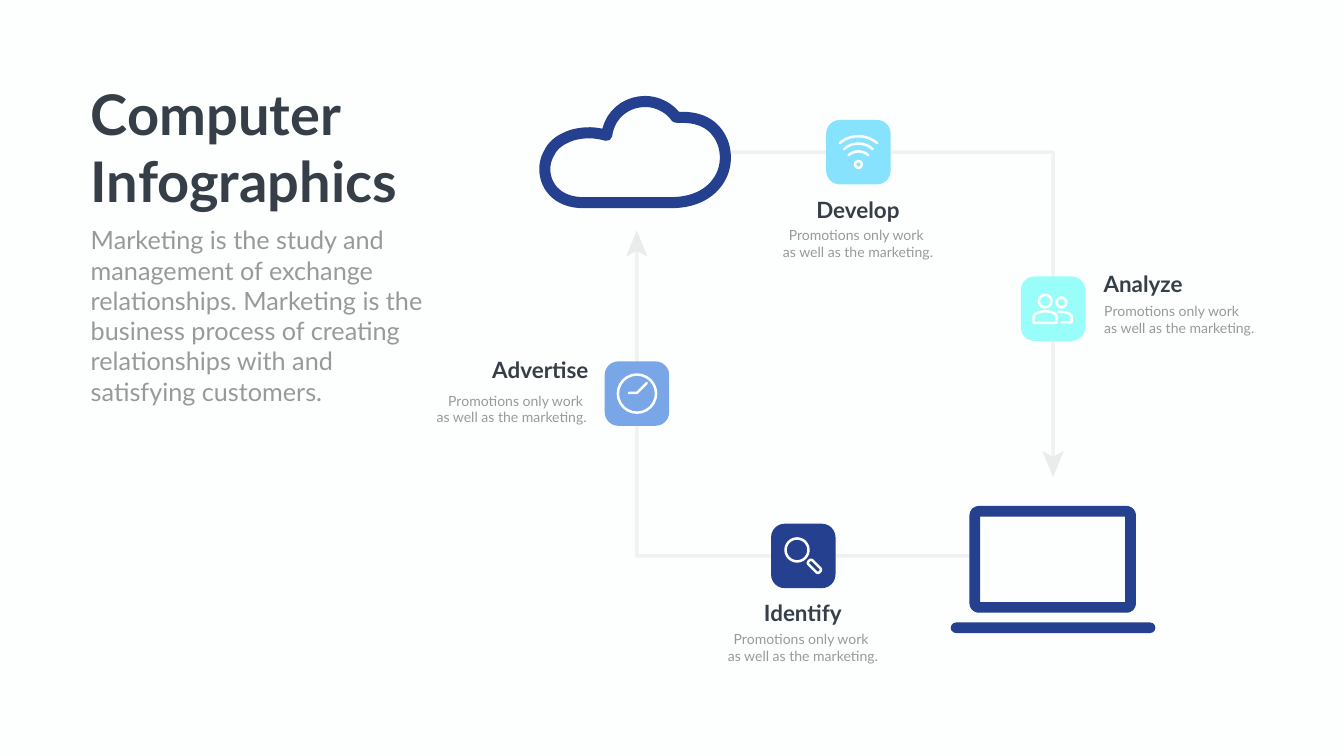
"""Builds the Computer Infographics slide: a cloud-to-laptop loop with four stages."""
import collections
import dataclasses

import lxml.etree
import pptx
import pptx.dml.color
import pptx.enum.shapes
import pptx.enum.text
import pptx.oxml.ns
import pptx.util

Pt = pptx.util.Pt
qn = pptx.oxml.ns.qn
Align = pptx.enum.text.PP_ALIGN
Shape = pptx.enum.shapes.MSO_SHAPE
Stage = collections.namedtuple("Stage", "name centre fill align label_offset note_offset draw_icon")


@dataclasses.dataclass(frozen=True)
class Theme:
    font: str = "Lato"
    paper: str = "FDFFFE"
    ink: str = "363E48"
    muted: str = "999999"
    navy: str = "25408E"
    blue: str = "78A6E7"
    sky: str = "87E3FD"
    aqua: str = "99FEFA"
    route: str = "808080"
    arrow: str = "EBEBEB"
    title_size: int = 80
    lead_size: int = 36
    label_size: int = 32
    note_size: int = 20


THEME = Theme()
NOTE = ("Promotions only work ", "as well as the marketing.")
LEAD = ("Marketing is the study and management of exchange relationships. "
        "Marketing is the business process of creating relationships with and satisfying customers.")
CLOUD = [
    (959, 289.5), (833, 289.5), (811, 289.5, 793.5, 281, 784, 264.6),
    (776, 250, 776, 232, 784.8, 217.8), (789, 209, 797, 202, 806.4, 197.6),
    (816, 192.5, 828, 189.7, 843, 189.7), (852, 190, 859, 191.5, 866.5, 193.5),
    (870, 165, 893, 145, 921.6, 145), (938, 145, 956, 153.5, 965.5, 167.5), (976.6, 167.7),
    (995, 168, 1011, 174, 1021.3, 185.7), (1031, 196.5, 1036, 210, 1036, 225.4),
    (1036, 242, 1029.5, 257, 1017, 269.2), (1003, 282.5, 982.5, 289.5, 959, 289.5)]
FRONT_PERSON = [
    (-27.7, 20.3), (-27.7, 12.6), (-27.7, 10.5, -26.5, 8.5, -25, 7.3),
    (-20.5, 4.8, -16, 3.6, -11.2, 3.6), (-6, 3.6, -1, 4.8, 3.2, 7.5),
    (4.4, 8.8, 5, 10.5, 5, 12.6), (5, 20.3)]
BACK_PERSON = [
    (12.2, 19.4), (26.6, 19.4), (26.6, 12.6), (26.6, 10.5, 25.8, 9, 24, 7.8),
    (20.5, 5.3, 16, 4.5, 11.5, 4.5), (10, 4.5, 8.5, 4.7, 7.5, 4.9)]


def rgb(value):
    return pptx.dml.color.RGBColor.from_string(value)


def paint(shape, fill=None, line=None, weight=3.6):
    shape.shadow.inherit = False
    for part, color in ((shape.fill, fill), (shape.line.fill, line)):
        if color:
            part.solid()
            part.fore_color.rgb = rgb(color)
        else:
            part.background()
    if line:
        shape.line.width = Pt(weight)
    return shape


def trace(segments):
    points = []
    for segment in segments:
        if len(segment) == 2:
            points.append(segment)
            continue
        start, ends = points[-1], zip(segment[::2], segment[1::2])
        controls = list(zip(start, *ends))
        for t in (step / 10 for step in range(1, 11)):
            weights = ((1 - t) ** 3, 3 * t * (1 - t) ** 2, 3 * t * t * (1 - t), t ** 3)
            points.append(tuple(sum(w * v for w, v in zip(weights, axis)) for axis in controls))
    return points


def outline(slide, segments, origin=(0, 0), close=False, **style):
    points = [(Pt(x + origin[0]), Pt(y + origin[1])) for x, y in trace(segments)]
    builder = slide.shapes.build_freeform(*points[0])
    builder.add_line_segments(points[1:], close=close)
    return paint(builder.convert_to_shape(), **style)


def stroke(slide, origin, segments, close=False):
    shape = outline(slide, segments, origin, close, line=THEME.paper)
    shape.element.spPr.find(qn("a:ln")).set("cap", "rnd")


def block(slide, centre, width, height, radius, **style):
    left, top = centre[0] - width / 2, centre[1] - height / 2
    shape = slide.shapes.add_shape(Shape.ROUNDED_RECTANGLE, Pt(left), Pt(top), Pt(width), Pt(height))
    shape.adjustments[0] = radius
    return paint(shape, **style)


def ring(slide, origin, x, y, diameter):
    left, top = origin[0] + x - diameter / 2, origin[1] + y - diameter / 2
    paint(slide.shapes.add_shape(Shape.OVAL, Pt(left), Pt(top), Pt(diameter), Pt(diameter)), line=THEME.paper)


def wifi_icon(slide, origin):
    for reach, base, crest in ((26.6, -13, -26), (20.5, -4.3, -14.9), (14, 4.3, -2.9)):
        bend = reach * 0.45
        stroke(slide, origin, [(-reach, base), (-bend, crest, bend, crest, reach, base)])
    ring(slide, origin, 0, 17.6, 9.7)


def people_icon(slide, origin):
    ring(slide, origin, -11.2, -10.8, 18.2)
    stroke(slide, origin, FRONT_PERSON, close=True)
    ring(slide, origin, 11.9, -8.9, 14)
    stroke(slide, origin, BACK_PERSON)


def clock_icon(slide, origin):
    ring(slide, origin, 0, 0, 54.5)
    stroke(slide, origin, [(-11.5, -1), (0, -1), (14, -15)])


def search_icon(slide, origin):
    ring(slide, origin, -9, -8.6, 32.8)
    handle = block(slide, (origin[0] + 15.9, origin[1] + 14.9), 22, 8, 0.35, line=THEME.paper)
    handle.rotation = 45


def write(holder, lines, size, color, bold=False, align=Align.LEFT):
    frame = holder.text_frame
    frame.word_wrap = True
    frame.auto_size = pptx.enum.text.MSO_AUTO_SIZE.NONE
    frame.vertical_anchor = pptx.enum.text.MSO_ANCHOR.TOP
    for index, line in enumerate(lines):
        paragraph = frame.add_paragraph() if index else frame.paragraphs[0]
        paragraph.alignment, paragraph.space_before = align, Pt(0)
        run = paragraph.add_run()
        run.text = line
        run.font.name, run.font.size, run.font.bold = THEME.font, Pt(size), bold
        run.font.color.rgb = rgb(color)


def add_heading(slide):
    title, lead = slide.shapes.title, slide.placeholders[1]
    for holder, top, width, height in ((title, 110.2, 507.6, 200.9), (lead, 317.5, 494, 269.3)):
        holder.left, holder.top, holder.width, holder.height = Pt(122.4), Pt(top), Pt(width), Pt(height)
    properties = lead.text_frame.paragraphs[0]._p.get_or_add_pPr()
    properties.set("marL", "0")
    properties.set("indent", "0")
    lxml.etree.SubElement(properties, qn("a:buNone"))
    write(title, ["Computer Infographics"], THEME.title_size, THEME.ink, bold=True)
    write(lead, [LEAD], THEME.lead_size, THEME.muted)


def add_route(slide, corners, tip, direction):
    route = outline(slide, corners, line=THEME.route, weight=5)
    color = route.element.spPr.find(qn("a:ln")).find(".//" + qn("a:srgbClr"))
    lxml.etree.SubElement(color, qn("a:alpha"), val="10000")
    back, notch = -37.6 * direction, -29 * direction
    outline(slide, [(0, 0), (-15.3, back), (0, notch), (15.3, back)], tip, True, fill=THEME.arrow)


def add_stage(slide, stage):
    x, y = stage.centre
    block(slide, stage.centre, 92, 92, 0.21, fill=stage.fill)
    stage.draw_icon(slide, stage.centre)
    for (dx, dy), width, height, lines, size, color, bold in (
            (stage.label_offset, 188, 46, [stage.name], THEME.label_size, THEME.ink, True),
            (stage.note_offset, 289, 55.4, NOTE, THEME.note_size, THEME.muted, False)):
        box = slide.shapes.add_textbox(Pt(x + dx), Pt(y + dy), Pt(width), Pt(height))
        write(box, lines, size, color, bold, stage.align)


def main():
    deck = pptx.Presentation()
    deck.slide_width, deck.slide_height = Pt(1919.52), Pt(1080)
    slide = deck.slides.add_slide(deck.slide_layouts[1])
    slide.background.fill.solid()
    slide.background.fill.fore_color.rgb = rgb(THEME.paper)
    add_heading(slide)
    add_route(slide, [(1028.2, 217.4), (1504, 217.4), (1504, 655.2)], (1504, 681.8), 1)
    add_route(slide, [(1385.3, 794.2), (909.5, 794.2), (909.5, 356.4)], (909.5, 329.2), -1)
    outline(slide, CLOUD, close=True, line=THEME.navy, weight=15.8)
    block(slide, (1503.5, 799.1), 222.5, 137.2, 0.04, line=THEME.navy, weight=15.3)
    block(slide, (1504, 896.8), 292.3, 15.1, 0.5, fill=THEME.navy)
    below = (Align.CENTER, (-94.6, 58.5), (-145, 103.3))
    add_stage(slide, Stage("Develop", (1226, 217.4), THEME.sky, *below, wifi_icon))
    add_stage(slide, Stage("Analyze", (1504, 441), THEME.aqua, Align.LEFT, (65, -58), (66, -12), people_icon))
    add_stage(slide, Stage("Advertise", (909.7, 562.3), THEME.blue, Align.RIGHT,
                           (-250.2, -57), (-353.6, -5.8), clock_icon))
    add_stage(slide, Stage("Identify", (1147.3, 794.2), THEME.navy, *below, search_icon))
    deck.save("out.pptx")


if __name__ == "__main__":
    main()
